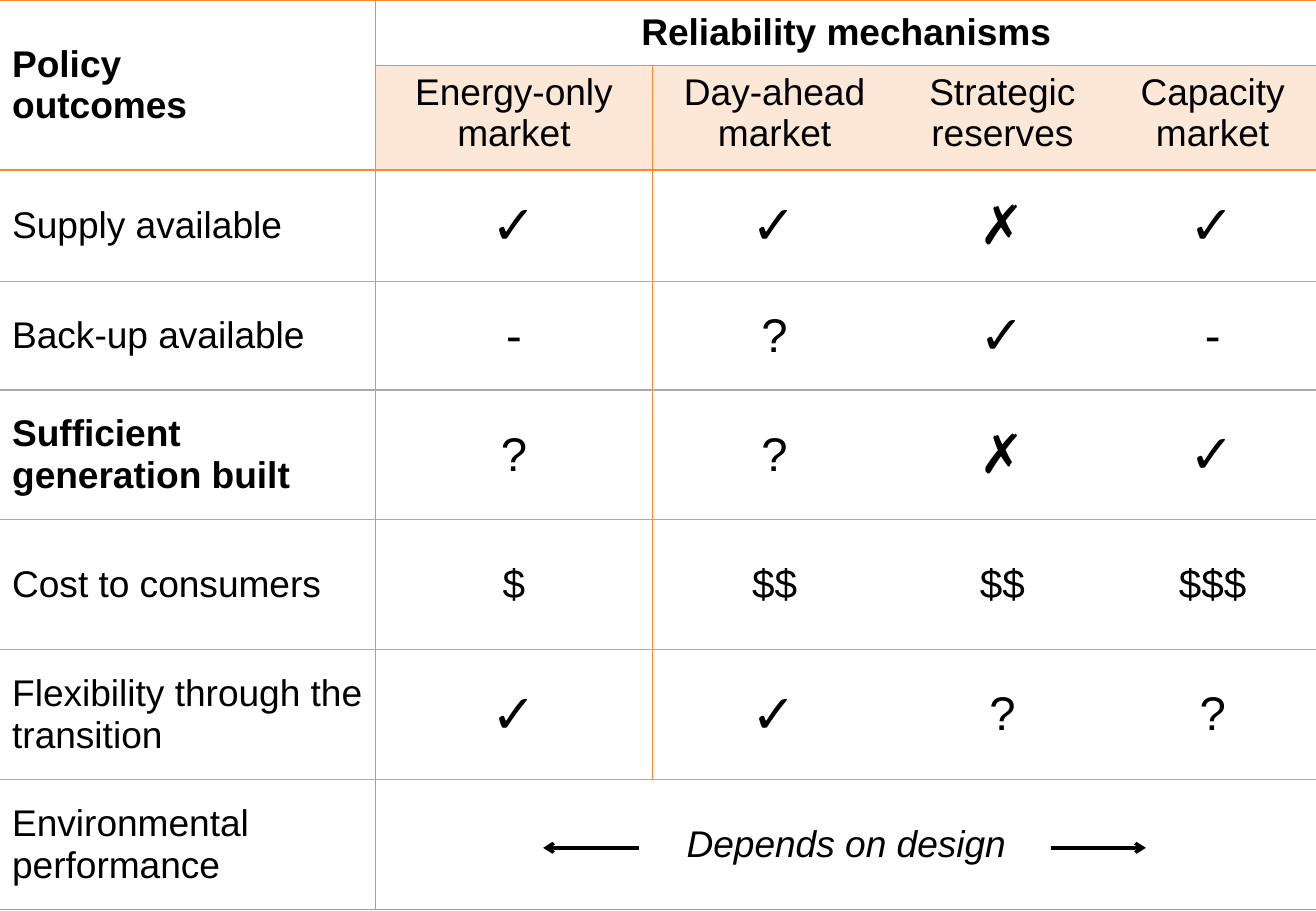
from lxml.etree import SubElement
from pptx import Presentation
from pptx.dml.color import RGBColor
from pptx.enum.shapes import MSO_CONNECTOR as Connector
from pptx.enum.text import MSO_ANCHOR as Anchor, PP_ALIGN as Align
from pptx.oxml.ns import qn
from pptx.util import Inches, Pt

COLORS = {"orange": "F68B33", "grey": "A4ABB1", "text": "000000"}
FONT = "Arial"
TEXT_SIZE = 22
MARK_SIZES = {"✓": 32, "✗": 32, "?": 28, "-": 28, "$": 24}

COLUMN_WIDTHS = [3.09, 2.28, 2.01, 1.74, 1.72]
ROW_HEIGHTS = [0.54, 0.86, 0.92, 0.89] + [1.07] * 4
MECHANISMS = ["Energy-only market", "Day-ahead market",
              "Strategic reserves", "Capacity market"]
OUTCOMES = [
    ("Supply available", ["✓", "✓", "✗", "✓"]),
    ("Back-up available", ["-", "?", "✓", "-"]),
    ("Sufficient generation built", ["?", "?", "✗", "✓"]),
    ("Cost to consumers", ["$", "$$", "$$", "$$$"]),
    ("Flexibility through the transition", ["✓", "✓", "?", "?"]),
]
KEY_OUTCOME = "Sufficient generation built"


def color(name):
    return RGBColor.from_string(COLORS[name])


def write_cell(cell, lines, size=TEXT_SIZE, bold=False, italic=False,
               align=Align.CENTER, anchor=Anchor.MIDDLE):
    cell.vertical_anchor = anchor
    frame = cell.text_frame
    for index, line in enumerate(lines):
        para = frame.add_paragraph() if index else frame.paragraphs[0]
        para.alignment = align
        span = para.add_run()
        span.text = line
        span.font.name = FONT
        span.font.size = Pt(size)
        span.font.bold = bold
        span.font.italic = italic
        span.font.color.rgb = color("text")


def horizontal_rule(boundary, column):
    """Colour name of the rule above row number `boundary`."""
    if boundary == 1:
        return "orange" if column else None
    return "orange" if boundary in (0, 2, len(ROW_HEIGHTS)) else "grey"


def vertical_rule(boundary, row):
    """Colour name of the rule left of column number `boundary`."""
    inside_grid = 0 < row < len(ROW_HEIGHTS) - 1
    return "orange" if boundary == 1 or (boundary == 2 and inside_grid) else None


def add_border(cell, side, name):
    line = SubElement(cell._tc.get_or_add_tcPr(), qn(f"a:ln{side}"), w=str(Pt(1)))
    if name:
        fill = SubElement(line, qn("a:solidFill"))
        SubElement(fill, qn("a:srgbClr"), val=COLORS[name])
    else:
        SubElement(line, qn("a:noFill"))


def style_cell(cell, row, column):
    bottom = row + (cell.span_height if cell.is_merge_origin else 1)
    right = column + (cell.span_width if cell.is_merge_origin else 1)
    add_border(cell, "L", vertical_rule(column, row))
    add_border(cell, "R", vertical_rule(right, row))
    add_border(cell, "T", horizontal_rule(row, column))
    add_border(cell, "B", horizontal_rule(bottom, column))
    if row == 1 and column:
        cell.fill.solid()
        cell.fill.fore_color.rgb = color("orange")
        tint = cell._tc.tcPr.find(qn("a:solidFill")).find(qn("a:srgbClr"))
        SubElement(tint, qn("a:alpha"), val="20000")
    else:
        cell.fill.background()


def add_grid(page):
    row_count, column_count = len(ROW_HEIGHTS), len(COLUMN_WIDTHS)
    table = page.shapes.add_table(row_count, column_count, Inches(0), Inches(0),
                                  Inches(10.83), Inches(7.5)).table
    table.first_row = table.horz_banding = False
    for column, width in zip(table.columns, COLUMN_WIDTHS):
        column.width = Inches(width)
    for row, height in zip(table.rows, ROW_HEIGHTS):
        row.height = Inches(height)

    # Merged areas: corner, top heading, bottom row
    last_row, last_column = row_count - 1, column_count - 1
    table.cell(0, 0).merge(table.cell(1, 0))
    for row in (0, last_row):
        table.cell(row, 1).merge(table.cell(row, last_column))

    for row in range(row_count):
        for column in range(column_count):
            style_cell(table.cell(row, column), row, column)
    return table


def fill_table(table):
    # Headings
    write_cell(table.cell(0, 0), ["Policy", "outcomes"], bold=True, align=Align.LEFT)
    write_cell(table.cell(0, 1), ["Reliability mechanisms"], bold=True)
    for column, mechanism in enumerate(MECHANISMS, 1):
        write_cell(table.cell(1, column), [mechanism], anchor=Anchor.TOP)

    # Ratings
    for row, (outcome, marks) in enumerate(OUTCOMES, 2):
        write_cell(table.cell(row, 0), [outcome], bold=outcome == KEY_OUTCOME,
                   align=Align.LEFT)
        for column, mark in enumerate(marks, 1):
            write_cell(table.cell(row, column), [mark], MARK_SIZES[mark[0]])

    # Bottom row
    last_row = len(ROW_HEIGHTS) - 1
    write_cell(table.cell(last_row, 0), ["Environmental performance"],
               align=Align.LEFT)
    write_cell(table.cell(last_row, 1), ["Depends on design"], italic=True)


def add_arrow(page, start, end, y):
    arrow = page.shapes.add_connector(Connector.STRAIGHT, Inches(start), Inches(y),
                                      Inches(end), Inches(y))
    arrow.line.color.rgb = color("text")
    arrow.line.width = Pt(2)
    SubElement(arrow.line._get_or_add_ln(), qn("a:tailEnd"), type="arrow")
    SubElement(arrow._element.spPr, qn("a:effectLst"))


def main():
    deck = Presentation()
    deck.slide_width, deck.slide_height = Inches(10.83), Inches(7.5)
    page = deck.slides.add_slide(deck.slide_layouts[6])
    fill_table(add_grid(page))
    for start, end in ((8.65, 9.43), (5.26, 4.47)):
        add_arrow(page, start, end, 6.98)
    deck.save("out.pptx")


if __name__ == "__main__":
    main()
